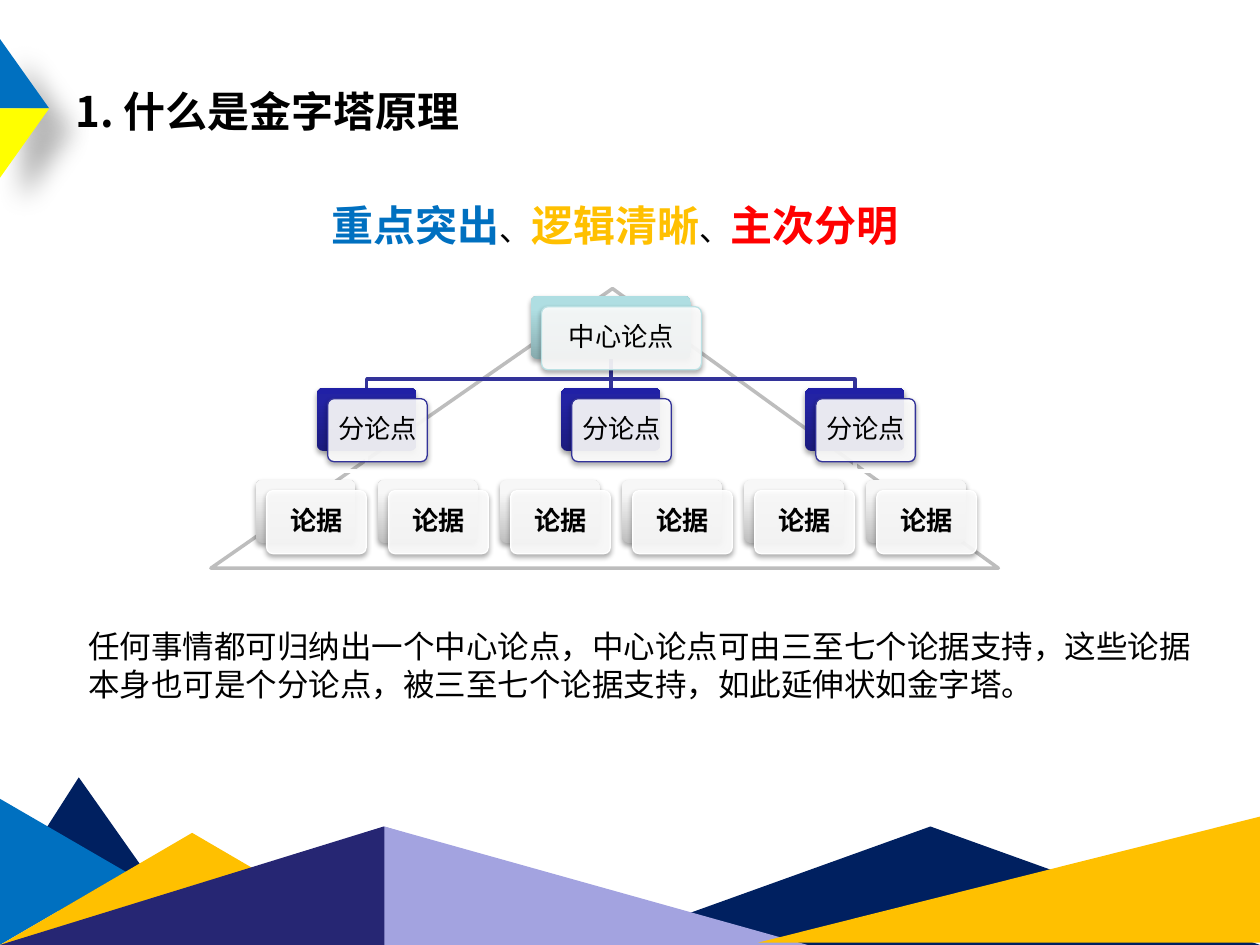
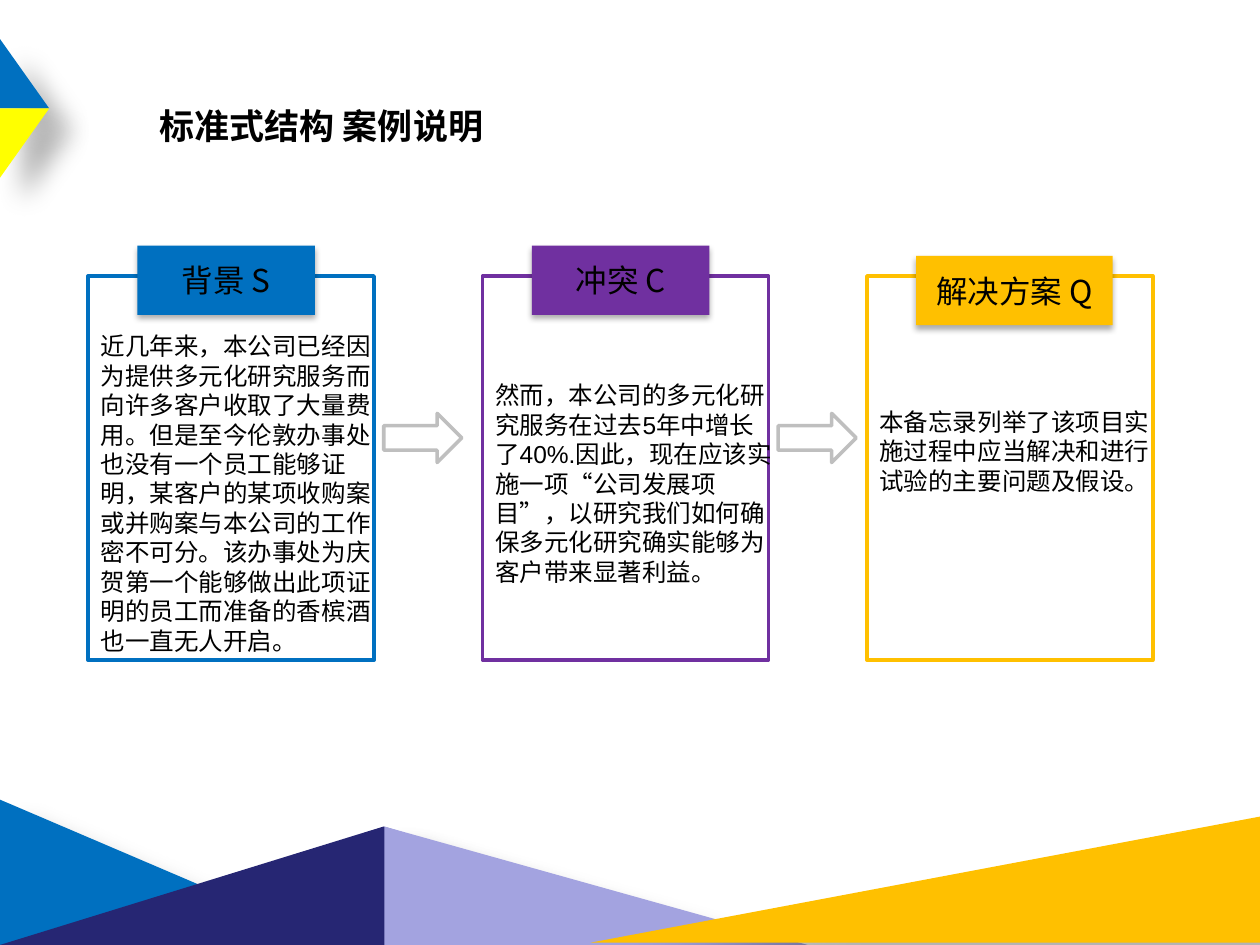
from lxml.etree import SubElement
from pptx import Presentation
from pptx.dml.color import RGBColor
from pptx.enum.shapes import MSO_CONNECTOR, MSO_SHAPE as SHAPE
from pptx.enum.text import MSO_ANCHOR, PP_ALIGN
from pptx.oxml.ns import qn
from pptx.util import Pt

CJK = "Noto Sans CJK SC"
BLACK, WHITE = "000000", "FFFFFF"
BLUE, GOLD, NAVY, INDIGO = "0070C0", "FFC000", "002060", "333399"
SOFT_SHADOW = (30, 15, 18, 45)
NODE_SHADOW = (35, 3.1, 1.8, 90)
TAB_SHADOW = (32, 3.5, 2.2, 90)
TEAL_STOPS = ((0, "87ABAE"), (80, "AFDEE2"), (100, "AFE0E4"))
INDIGO_STOPS = ((0, "1B1B7E"), (80, "2323A3"), (100, "2020A6"))
GREY_STOPS = ((0, "BEBEBE"), (80, "F7F7F7"), (100, "F8F8F8"))
NODE_H, NODE_W, ROOT_W, LIFT = 36, 56.9, 91.4, 6.1
LEVEL_TOPS = (169.2, 221.75, 274.3)
LEAF_X, LEAF_STEP = 174.7, 69.74


def rgb(value):
    return RGBColor.from_string(value)


def child(parent, tag, **attrs):
    return SubElement(parent, qn(tag), {k: str(v) for k, v in attrs.items()})


def add_shadow(sp, shadow):
    alpha, blur, dist, angle = shadow
    effects = sp._element.spPr.find(qn("a:effectLst"))
    outer = child(effects, "a:outerShdw", blurRad=Pt(blur), dist=Pt(dist),
                  dir=angle * 60000, algn="ctr", rotWithShape=0)
    color = child(outer, "a:srgbClr", val=BLACK)
    child(color, "a:alpha", val=alpha * 1000)


def paint(sp, fill=None, line=None, width=2, shadow=None):
    sp.shadow.inherit = False
    if fill:
        sp.fill.solid()
        sp.fill.fore_color.rgb = rgb(fill)
    else:
        sp.fill.background()
    if line:
        sp.line.color.rgb = rgb(line)
        sp.line.width = Pt(width)
    else:
        sp.line.fill.background()
    if shadow:
        add_shadow(sp, shadow)


def add_shape(s, kind, box, fill=None, rotation=0, adj=None, **style):
    sp = s.shapes.add_shape(kind, *(Pt(v) for v in box))
    sp.rotation = rotation
    if adj is not None:
        sp.adjustments[0] = adj
    paint(sp, fill, **style)
    return sp


def set_gradient(sp, stops):
    sp.fill.background()
    spPr = sp._element.spPr
    empty = spPr.find(qn("a:noFill"))
    grad = child(spPr, "a:gradFill", rotWithShape=1)
    spPr.replace(empty, grad)
    stop_list = child(grad, "a:gsLst")
    for pos, color in stops:
        child(child(stop_list, "a:gs", pos=pos * 1000), "a:srgbClr", val=color)
    child(grad, "a:lin", ang=270 * 60000, scaled=0)


def set_opacity(sp, percent):
    color = sp._element.spPr.find(qn("a:solidFill")).find(qn("a:srgbClr"))
    child(color, "a:alpha", val=percent * 1000)


def format_run(r, size, color=BLACK, bold=False, font=CJK):
    r.font.size = Pt(size)
    r.font.bold = bold
    r.font.color.rgb = rgb(color)
    r.font.name = font
    child(r._r.get_or_add_rPr(), "a:ea", typeface=CJK)


def add_text(s, box, runs, font=CJK, align=PP_ALIGN.LEFT, wrap=True):
    tf = s.shapes.add_textbox(*(Pt(v) for v in box)).text_frame
    tf.word_wrap = wrap
    p = tf.paragraphs[0]
    p.alignment = align
    p._p.get_or_add_pPr().set("hangingPunct", "0")
    for text, *look in runs:
        r = p.add_run()
        r.text = text
        format_run(r, *look, font=font)


def set_label(sp, text, size, bold=False):
    tf = sp.text_frame
    tf.word_wrap = True
    tf.vertical_anchor = MSO_ANCHOR.MIDDLE
    tf.text = text
    p = tf.paragraphs[0]
    p.alignment = PP_ALIGN.CENTER
    format_run(p.runs[0], size, bold=bold)
    return tf


def add_corner(s):
    add_shape(s, SHAPE.RIGHT_TRIANGLE, (0, 22.3, 28.1, 39.6), BLUE, shadow=SOFT_SHADOW)
    sp = add_shape(s, SHAPE.RIGHT_TRIANGLE, (0, 61.9, 28.1, 39.6), "FFFF00", 180,
                   shadow=SOFT_SHADOW)
    sp._element.spPr.find(qn("a:xfrm")).set("flipH", "1")


def add_ridge(s, gold_length, shadow=None):
    add_shape(s, SHAPE.ISOSCELES_TRIANGLE, (0, 472.3, 438.5, 67.7), "262673",
              shadow=shadow)
    add_shape(s, SHAPE.RIGHT_TRIANGLE, (219.6, 472.3, 241.9, 67.7), "A3A3E0",
              shadow=shadow)
    center_x, center_y = 720 - gold_length / 2, 502.6
    add_shape(s, SHAPE.RIGHT_TRIANGLE,
              (center_x - 36, center_y - gold_length / 2, 72, gold_length),
              GOLD, 270, shadow=shadow)


def add_elbow(s, x1, x2, level, color):
    top, bottom = LEVEL_TOPS[level] + NODE_H, LEVEL_TOPS[level + 1]
    bend = bottom - 5.1
    fb = s.shapes.build_freeform(Pt(x1), Pt(top))
    points = ((x1, bend), (x2, bend), (x2, bottom))
    fb.add_line_segments([(Pt(x), Pt(y)) for x, y in points], close=False)
    paint(fb.convert_to_shape(), line=color)


def add_trunk(s, x):
    cn = s.shapes.add_connector(MSO_CONNECTOR.STRAIGHT, Pt(x), Pt(LEVEL_TOPS[0] + NODE_H),
                                Pt(x), Pt(LEVEL_TOPS[1]))
    cn.line.color.rgb = rgb(INDIGO)
    cn.line.width = Pt(2)
    child(cn._element.spPr, "a:effectLst")
    return cn


def add_node(s, center, level, text, stops, line, width=NODE_W, bold=False):
    x, y = center - width / 2, LEVEL_TOPS[level]
    back = add_shape(s, SHAPE.ROUNDED_RECTANGLE, (x, y, width, NODE_H), adj=0.1,
                     shadow=NODE_SHADOW)
    set_gradient(back, stops)
    front = add_shape(s, SHAPE.ROUNDED_RECTANGLE, (x + LIFT, y + LIFT, width, NODE_H),
                      WHITE, adj=0.1, line=line, width=0.75, shadow=NODE_SHADOW)
    set_opacity(front, 90)
    tf = set_label(front, text, 15, bold)
    tf.margin_left = tf.margin_right = tf.margin_top = tf.margin_bottom = Pt(4.2)
    tf.paragraphs[0].line_spacing = 0.9
    return back


def add_pyramid(s):
    leaves = [LEAF_X + i * LEAF_STEP for i in range(6)]
    branches = [(a + b) / 2 for a, b in zip(leaves[::2], leaves[1::2])]
    root = branches[1]
    for i, leaf in enumerate(leaves):
        add_elbow(s, branches[i // 2], leaf, 1, WHITE)
    for branch in (branches[0], branches[2]):
        add_elbow(s, root, branch, 0, INDIGO)
    trunk = add_trunk(s, root)
    root_node = add_node(s, root, 0, "中心论点", TEAL_STOPS, "BBE0E3", ROOT_W)
    branch_nodes = [add_node(s, x, 1, "分论点", INDIGO_STOPS, INDIGO) for x in branches]
    for x in leaves:
        add_node(s, x, 2, "论据", GREY_STOPS, WHITE, bold=True)
    trunk.begin_connect(root_node, 2)
    trunk.end_connect(branch_nodes[1], 0)


def add_panel(s, x, color, title, tab_top, tab_width, text, text_top, font):
    add_shape(s, SHAPE.RECTANGLE, (x, 157.7, 163.4, 219.6), line=color)
    tab = add_shape(s, SHAPE.RECTANGLE, (x + 28.1, tab_top, tab_width, 39.6), color,
                    shadow=TAB_SHADOW)
    set_label(tab, title, 18)
    add_text(s, (x, text_top, 174.2, 60), [(text, 14)], font)


def build_principle(s):
    add_shape(s, SHAPE.ISOSCELES_TRIANGLE, (23.8, 455.8, 83.5, 102.2), NAVY, 122.6)
    add_shape(s, SHAPE.ISOSCELES_TRIANGLE, (120.5, 164.9, 450, 159.8), WHITE, adj=0.51,
              line="BDBDBD")
    add_shape(s, SHAPE.ISOSCELES_TRIANGLE, (343.4, 472.3, 376.6, 67.7), NAVY)
    add_corner(s)
    add_shape(s, SHAPE.ISOSCELES_TRIANGLE, (-5.8, 462.2, 83.5, 72), BLUE, 90)
    add_shape(s, SHAPE.ISOSCELES_TRIANGLE, (0, 475.9, 219.6, 64.1), GOLD)
    add_ridge(s, 286.6)
    add_text(s, (43.2, 355, 653.8, 51), [(
        "任何事情都可归纳出一个中心论点，中心论点可由三至七个论据支持，"
        "这些论据本身也可是个分论点，被三至七个论据支持，如此延伸状如金字塔。", 18)])
    add_pyramid(s)
    add_text(s, (36, 45.4, 236, 36.7), [("1. 什么是金字塔原理", 24, BLACK, True)])
    add_text(s, (25.2, 110.2, 653, 36.7), [
        ("重点突出", 24, BLUE, True), ("、", 18),
        ("逻辑清晰", 24, GOLD, True), ("、", 18),
        ("主次分明", 24, "FF0000", True)], align=PP_ALIGN.CENTER)


def build_case(s):
    add_shape(s, SHAPE.ISOSCELES_TRIANGLE, (8.6, 447.8, 105.8, 123.8), BLUE, 90,
              shadow=SOFT_SHADOW)
    add_ridge(s, 382.3, SOFT_SHADOW)
    add_corner(s)
    add_text(s, (84.2, 56.2, 201.6, 31.7), [("标准式结构 案例说明", 20, BLACK, True)],
             "Arial", wrap=False)
    panels = (
        (50.4, BLUE, "背景 S", 140.4, 101.5,
         "近几年来，本公司已经因为提供多元化研究服务而向许多客户收取了大量费用。"
         "但是至今伦敦办事处也没有一个员工能够证明，某客户的某项收购案或并购案与"
         "本公司的工作密不可分。该办事处为庆贺第一个能够做出此项证明的员工而准备的"
         "香槟酒也一直无人开启。", 185.8, CJK),
        (275.8, "7030A0", "冲突 C", 140.4, 101.5,
         "然而，本公司的多元化研究服务在过去5年中增长了40%.因此，现在应该实施一项"
         "“公司发展项目”，以研究我们如何确保多元化研究确实能够为客户带来显著利益。",
         213.8, "Arial"),
        (495.4, GOLD, "解决方案 Q", 146.2, 112.3,
         "本备忘录列举了该项目实施过程中应当解决和进行试验的主要问题及假设。",
         229, "Arial"),
    )
    for panel in panels:
        add_panel(s, *panel)
    for x, *_ in panels[:-1]:
        add_shape(s, SHAPE.RIGHT_ARROW, (x + 168.9, 236.2, 44.6, 28.1), line="BFBFBF")


def main():
    prs = Presentation()
    prs.slide_width, prs.slide_height = Pt(720), Pt(540)
    for build in (build_principle, build_case):
        build(prs.slides.add_slide(prs.slide_layouts[6]))
    prs.save("out.pptx")


if __name__ == "__main__":
    main()
